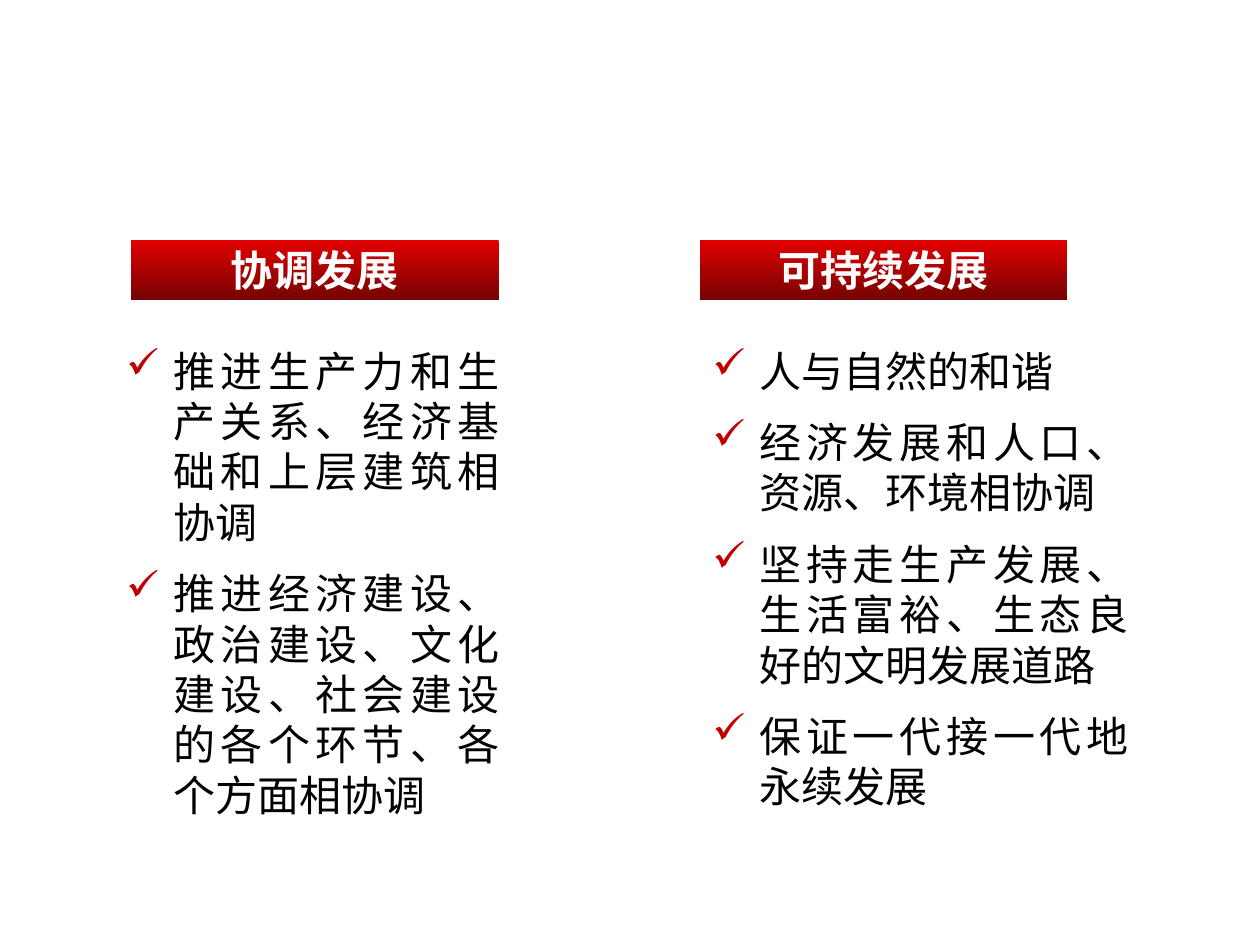
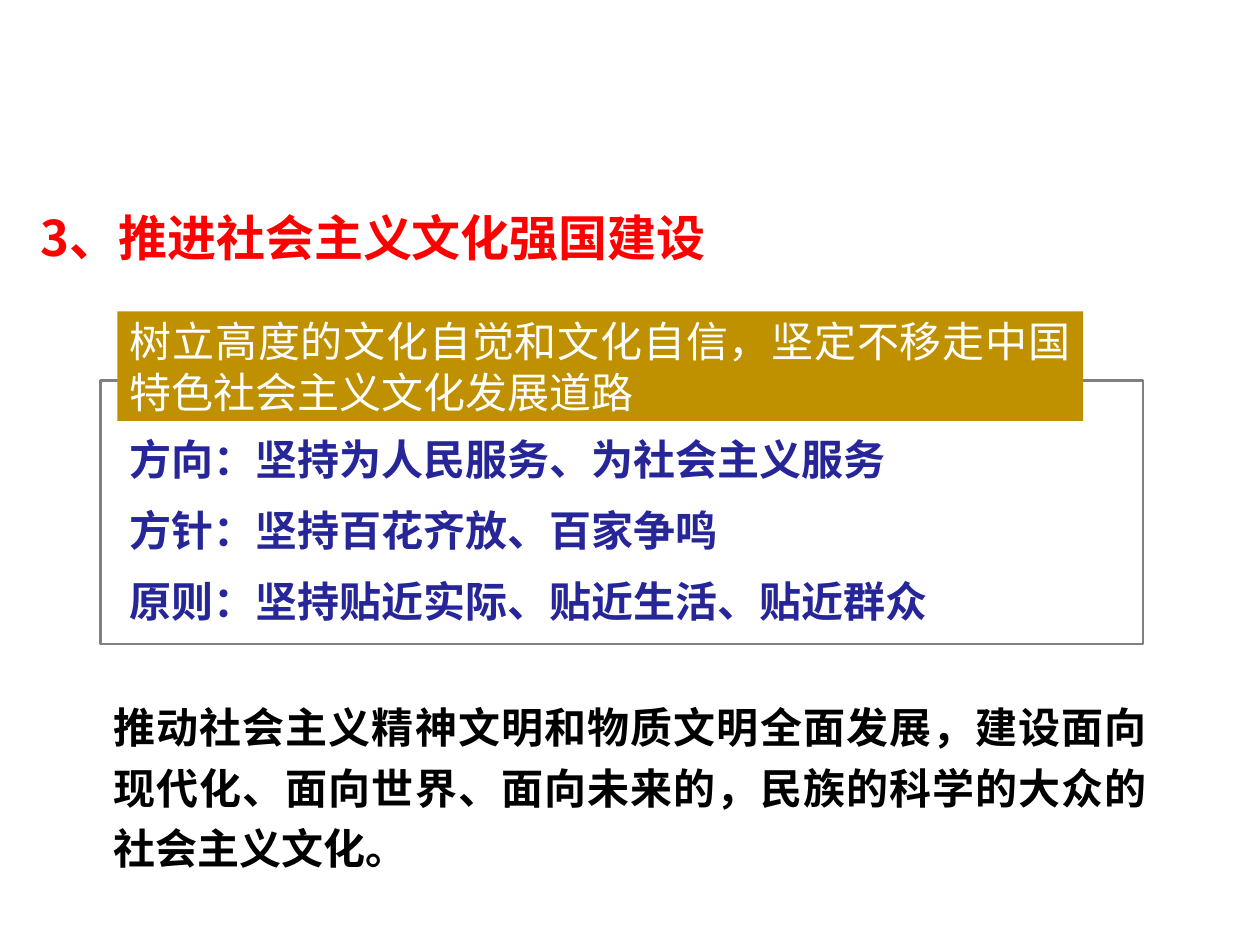
from lxml import etree
from pptx import Presentation
from pptx.dml.color import RGBColor
from pptx.enum import lang, shapes, text
from pptx.oxml.ns import qn
from pptx.util import Pt

SANS, LATIN = "Noto Sans CJK SC", "Arial"
BLACK, WHITE, RED, TICK = "000000", "FFFFFF", "FF0000", "C00000"
BAND_TOP, BAND_BOTTOM = "E30000", "760303"
GOLD, NAVY, GREY = "BF9000", "262699", "808080"
BODY_SIZE, TITLE_SIZE, PARAGRAPH_GAP, HANG = 24, 28, 12, 27

DEVELOPMENT = [
    {"heading": "协调发展", "band_left": 75, "left": 65, "width": 227.5,
     "points": ["推进生产力和生产关系、经济基础和上层建筑相协调",
                "推进经济建设、政治建设、文化建设、社会建设的各个环节、各个方面相协调"]},
    {"heading": "可持续发展", "band_left": 400, "left": 400, "width": 252,
     "points": ["人与自然的和谐",
                "经济发展和人口、资源、环境相协调",
                "坚持走生产发展、生活富裕、生态良好的文明发展道路",
                "保证一代接一代地永续发展"]},
]
CULTURE_TITLE = "3、推进社会主义文化强国建设"
CULTURE_ROAD = "树立高度的文化自觉和文化自信，坚定不移走中国特色社会主义文化发展道路"
CULTURE_RULES = ["方向：坚持为人民服务、为社会主义服务",
                 "方针：坚持百花齐放、百家争鸣",
                 "原则：坚持贴近实际、贴近生活、贴近群众"]
CULTURE_GOAL = ("推动社会主义精神文明和物质文明全面发展，建设面向现代化、面向世界、"
                "面向未来的，民族的科学的大众的社会主义文化。")


def color(value):
    return RGBColor.from_string(value)


def add_tick(paragraph):
    properties = paragraph._p.get_or_add_pPr()
    properties.set("marL", str(Pt(HANG)))
    properties.set("indent", str(-Pt(HANG)))
    tint = etree.SubElement(properties, qn("a:buClr"))
    etree.SubElement(tint, qn("a:srgbClr"), val=TICK)
    etree.SubElement(properties, qn("a:buChar"), char="✓")


def write(shape, lines, ink, font=SANS, size=BODY_SIZE, bold=False, align=None,
          anchor=text.MSO_ANCHOR.TOP, ticks=False, spacing=None):
    frame = shape.text_frame
    frame.word_wrap = True
    frame.vertical_anchor = anchor
    for index, line in enumerate(lines):
        paragraph = frame.paragraphs[0] if index == 0 else frame.add_paragraph()
        paragraph.text = line
        paragraph.alignment = align
        if index:
            paragraph.space_before = Pt(PARAGRAPH_GAP)
        if spacing:
            paragraph.line_spacing = spacing
        if ticks:
            add_tick(paragraph)
        style = paragraph.font
        style.name, style.size, style.bold = font, Pt(size), bold
        style.color.rgb = color(ink)
        style.language_id = lang.MSO_LANGUAGE_ID.SIMPLIFIED_CHINESE


def add_box(parent, *place):
    return parent.add_textbox(*map(Pt, place))


def add_panel(parent, *place, fill=None, line=None):
    panel = parent.add_shape(shapes.MSO_SHAPE.RECTANGLE, *map(Pt, place))
    panel.shadow.inherit = False
    if fill:
        panel.fill.solid()
        panel.fill.fore_color.rgb = color(fill)
    else:
        panel.fill.background()
    if line:
        panel.line.color.rgb = color(line)
        panel.line.width = Pt(1.5)
    else:
        panel.line.fill.background()
    return panel


def add_heading_band(parent, heading, left):
    band = add_panel(parent, left, 137, 210, 34.5)
    band.fill.gradient()
    band.fill.gradient_angle = 270
    for stop, position, tint in zip(band.fill.gradient_stops, (0, 1), (BAND_TOP, BAND_BOTTOM)):
        stop.position = position
        stop.color.rgb = color(tint)
    write(band, [heading], WHITE, bold=True, align=text.PP_ALIGN.CENTER,
          anchor=text.MSO_ANCHOR.MIDDLE)


def build_development(deck):
    parts = deck.slides.add_slide(deck.slide_layouts[6]).shapes
    for column in DEVELOPMENT:
        add_heading_band(parts, column["heading"], column["band_left"])
        points = add_box(parts, column["left"], 193.7, column["width"], 280)
        write(points, column["points"], BLACK, align=text.PP_ALIGN.JUSTIFY, ticks=True)


def build_culture(deck):
    parts = deck.slides.add_slide(deck.slide_layouts[5]).shapes
    title = parts.title
    title.left, title.top, title.width, title.height = map(Pt, (16, 93.5, 648, 62.5))
    write(title, [CULTURE_TITLE], RED, size=TITLE_SIZE, bold=True,
          align=text.PP_ALIGN.LEFT, anchor=text.MSO_ANCHOR.BOTTOM)

    framework = parts.add_group_shape().shapes
    add_panel(framework, 57.6, 217.5, 595.5, 150.5, line=GREY)
    road = add_panel(framework, 67, 178, 552, 62.5, fill=GOLD)
    write(road, [CULTURE_ROAD], WHITE, align=text.PP_ALIGN.JUSTIFY,
          anchor=text.MSO_ANCHOR.MIDDLE)
    rules = add_box(framework, 67, 244, 595.5, 119)
    write(rules, CULTURE_RULES, NAVY, font=LATIN, bold=True)

    goal = add_box(parts, 57.6, 391.7, 605, 112)
    write(goal, [CULTURE_GOAL], BLACK, font=LATIN, bold=True,
          align=text.PP_ALIGN.JUSTIFY, spacing=1.2)


def main():
    deck = Presentation()
    deck.slide_width, deck.slide_height = Pt(720), Pt(540)
    build_development(deck)
    build_culture(deck)
    deck.save("out.pptx")


if __name__ == "__main__":
    main()
